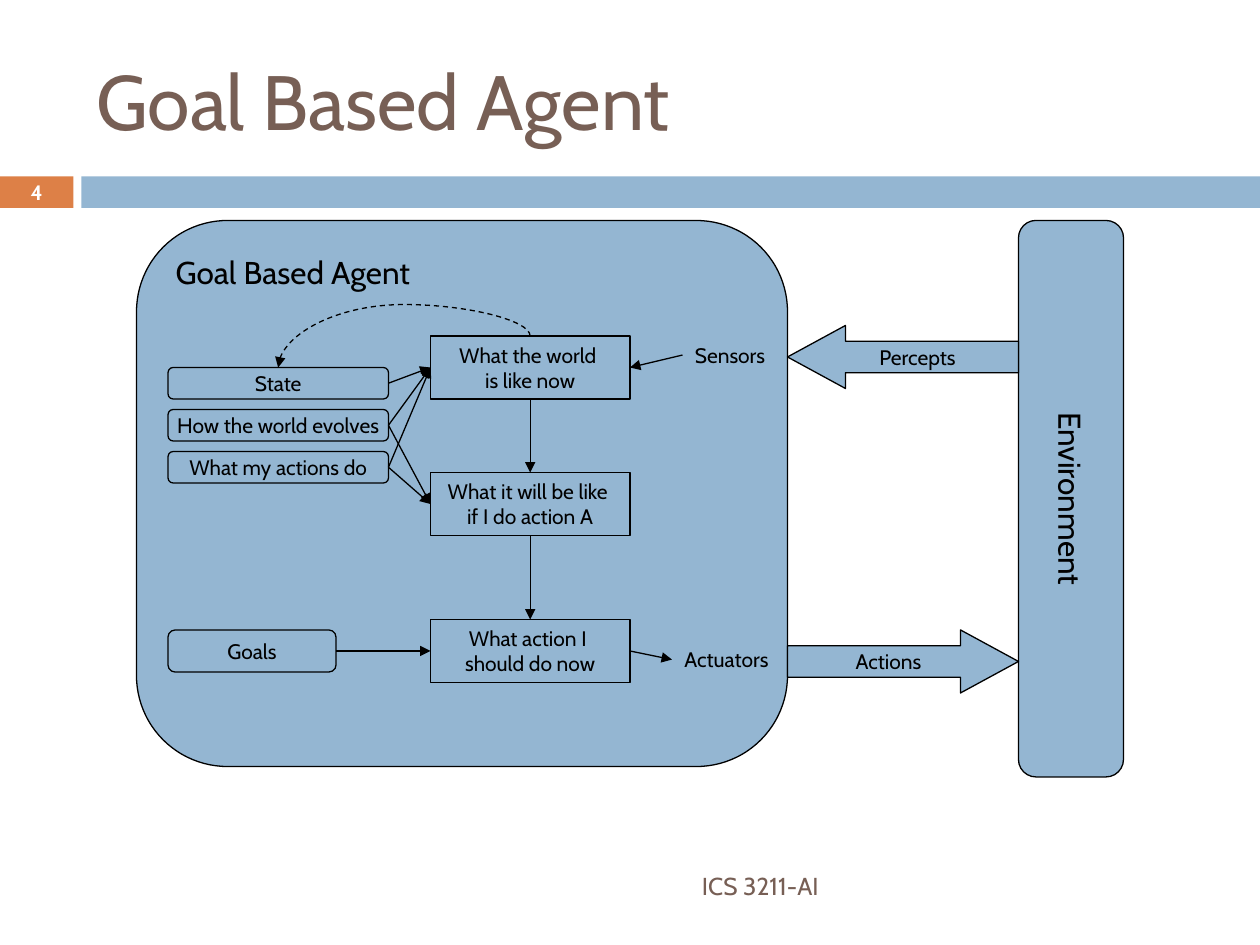
from collections import namedtuple
from dataclasses import dataclass

from lxml.etree import SubElement
from pptx import Presentation
from pptx.dml.color import RGBColor
from pptx.enum.dml import MSO_LINE
from pptx.enum.shapes import MSO_CONNECTOR as CONN, MSO_SHAPE as SHAPE
from pptx.enum.text import MSO_ANCHOR as ANCHOR, PP_ALIGN as ALIGN
from pptx.oxml.ns import qn
from pptx.util import Pt

Box = namedtuple("Box", "x y w h")


@dataclass(frozen=True)
class Theme:
    font: str = "Cabin"
    blue: str = "94B6D2"
    orange: str = "DD8047"
    brown: str = "775F55"
    black: str = "000000"
    white: str = "FFFFFF"
    title: float = 44
    heading: float = 18
    footer: float = 14
    body: float = 12
    line: float = 0.75


T = Theme()


def rgb(color):
    return RGBColor.from_string(color)


def write(sp, text, size=T.body, color=T.black, align=ALIGN.CENTER,
          anchor=ANCHOR.MIDDLE, wrap=False, bold=False):
    tf = sp.text_frame
    tf.word_wrap = wrap
    tf.vertical_anchor = anchor
    for i, line in enumerate(text.split("\n")):
        p = tf.paragraphs[0] if i == 0 else tf.add_paragraph()
        p.alignment = align
        r = p.add_run()
        r.text = line
        r.font.name, r.font.size, r.font.bold = T.font, Pt(size), bold
        r.font.color.rgb = rgb(color)


def add_shape(s, kind, box, fill=T.blue, outlined=True):
    sp = s.shapes.add_shape(kind, *map(Pt, box))
    sp.shadow.inherit = False
    sp.fill.solid()
    sp.fill.fore_color.rgb = rgb(fill)
    if outlined:
        sp.line.color.rgb = rgb(T.black)
        sp.line.width = Pt(T.line)
    else:
        sp.line.fill.background()
    return sp


def add_label(s, box, text, **style):
    write(s.shapes.add_textbox(*map(Pt, box)), text, **style)


def add_arrow(s, start, end, kind=CONN.STRAIGHT):
    c = s.shapes.add_connector(kind, *map(Pt, (*start, *end)))
    c.line.color.rgb = rgb(T.black)
    c.line.width = Pt(T.line)
    SubElement(c.line._get_or_add_ln(), qn("a:tailEnd"), type="triangle")
    SubElement(c._element.spPr, qn("a:effectLst"))
    return c


def add_feedback(s, start, end):
    """Dashed arc that leaves start upwards and drops onto end."""
    cx, cy = (start[0] + end[0]) / 2, (start[1] + end[1]) / 2
    half_w, half_h = (end[1] - start[1]) / 2, (start[0] - end[0]) / 2
    c = add_arrow(s, (cx + half_w, cy + half_h), (cx - half_w, cy - half_h),
                  CONN.CURVE)
    c.line.dash_style = MSO_LINE.DASH
    # A quarter turn back, with the bend pushed out above the start
    spPr = c._element.spPr
    spPr.find(qn("a:xfrm")).set("rot", str(270 * 60000))
    guides = spPr.find(qn("a:prstGeom")).find(qn("a:avLst"))
    SubElement(guides, qn("a:gd"), name="adj1", fmla="val -100000")


def left(b):
    return b.x, b.y + b.h / 2


def right(b):
    return b.x + b.w, b.y + b.h / 2


def top(b):
    return b.x + b.w / 2, b.y


def bottom(b):
    return b.x + b.w / 2, b.y + b.h


def header(s, box):
    # Title above a band with the slide number
    add_label(s, Box(box.x + 48, box.y + 18, 642, 78), "Goal Based Agent",
              size=T.title, color=T.brown, align=ALIGN.LEFT, wrap=True)
    band_y, band_h, number_w, band_x = box.y + 100.8, 18, 42, 46.5
    number = add_shape(s, SHAPE.RECTANGLE, Box(box.x, band_y, number_w, band_h),
                       T.orange, outlined=False)
    number.text_frame.margin_top = number.text_frame.margin_bottom = 0
    write(number, "4", size=11.9, color=T.white, bold=True)
    add_shape(s, SHAPE.RECTANGLE,
              Box(box.x + band_x, band_y, box.w - band_x, band_h), outlined=False)


def agent(s, box):
    x, y = box.x, box.y
    panel = add_shape(s, SHAPE.ROUNDED_RECTANGLE, box)
    write(panel, "Goal Based Agent", size=T.heading, align=ALIGN.LEFT,
          anchor=ANCHOR.TOP)

    # Knowledge on the left
    knowledge = [Box(x + 18, y + 84 + 24 * i, 126, 18) for i in range(3)]
    goals = Box(x + 18, y + 234, 96, 24)
    names = ("State", "How the world evolves", "What my actions do", "Goals")
    for b, name in zip((*knowledge, goals), names):
        write(add_shape(s, SHAPE.ROUNDED_RECTANGLE, b), name)

    # Reasoning steps down the middle
    steps = [Box(x + 168, y + dy, 114, 36) for dy in (66, 144, 228)]
    questions = ("What the world \nis like now",
                 "What it will be like \nif I do action A",
                 "What action I \nshould do now")
    for b, question in zip(steps, questions):
        write(add_shape(s, SHAPE.RECTANGLE, b), question)
    now, future, action = steps
    state, evolves, effects = knowledge

    # Sensors and actuators on the right
    sensors = Box(x + 312, y + 66, 56, 21.8)
    actuators = Box(x + 306, y + 240, 65, 21.8)
    for b, name in ((sensors, "Sensors"), (actuators, "Actuators")):
        add_label(s, b, name, align=ALIGN.LEFT, anchor=ANCHOR.TOP)

    # Flow between the parts
    links = [(right(b), left(now)) for b in knowledge]
    links += [(right(b), left(future)) for b in (evolves, effects)]
    links += [(bottom(a), top(b)) for a, b in zip(steps, steps[1:])]
    links += [(right(goals), left(action)),
              (left(sensors), right(now)),
              (right(action), left(actuators))]
    for start, end in links:
        add_arrow(s, start, end)
    add_feedback(s, top(now), top(state))


def environment(s, box):
    # Drawn lying down, then turned upright so that its text runs downwards
    cx, cy = box.x + box.w / 2, box.y + box.h / 2
    sp = add_shape(s, SHAPE.ROUNDED_RECTANGLE,
                   Box(cx - box.h / 2, cy - box.w / 2, box.h, box.w))
    sp.rotation = 90
    write(sp, "Environment", size=T.heading)


def exchange(s, box):
    # Block arrows between agent and environment
    for kind, dy, name in ((SHAPE.LEFT_ARROW, 0, "Percepts"),
                           (SHAPE.RIGHT_ARROW, 174, "Actions")):
        sp = add_shape(s, kind, Box(box.x, box.y + dy, box.w, 36))
        sp.adjustments[0], sp.adjustments[1] = 0.5, 0.92
        write(sp, name)


def footer(s, box):
    add_label(s, box, "ICS 3211-AI", size=T.footer, color=T.brown,
              align=ALIGN.RIGHT, wrap=True)


def main():
    prs = Presentation()
    prs.slide_width, prs.slide_height = Pt(720), Pt(540)
    s = prs.slides.add_slide(prs.slide_layouts[6])
    header(s, Box(0, 0, 720, 120))
    agent(s, Box(78, 126, 372, 312))
    environment(s, Box(582, 126, 60, 318))
    exchange(s, Box(450, 186, 132, 210))
    footer(s, Box(48, 492, 427, 28.8))
    prs.save("out.pptx")


if __name__ == "__main__":
    main()
